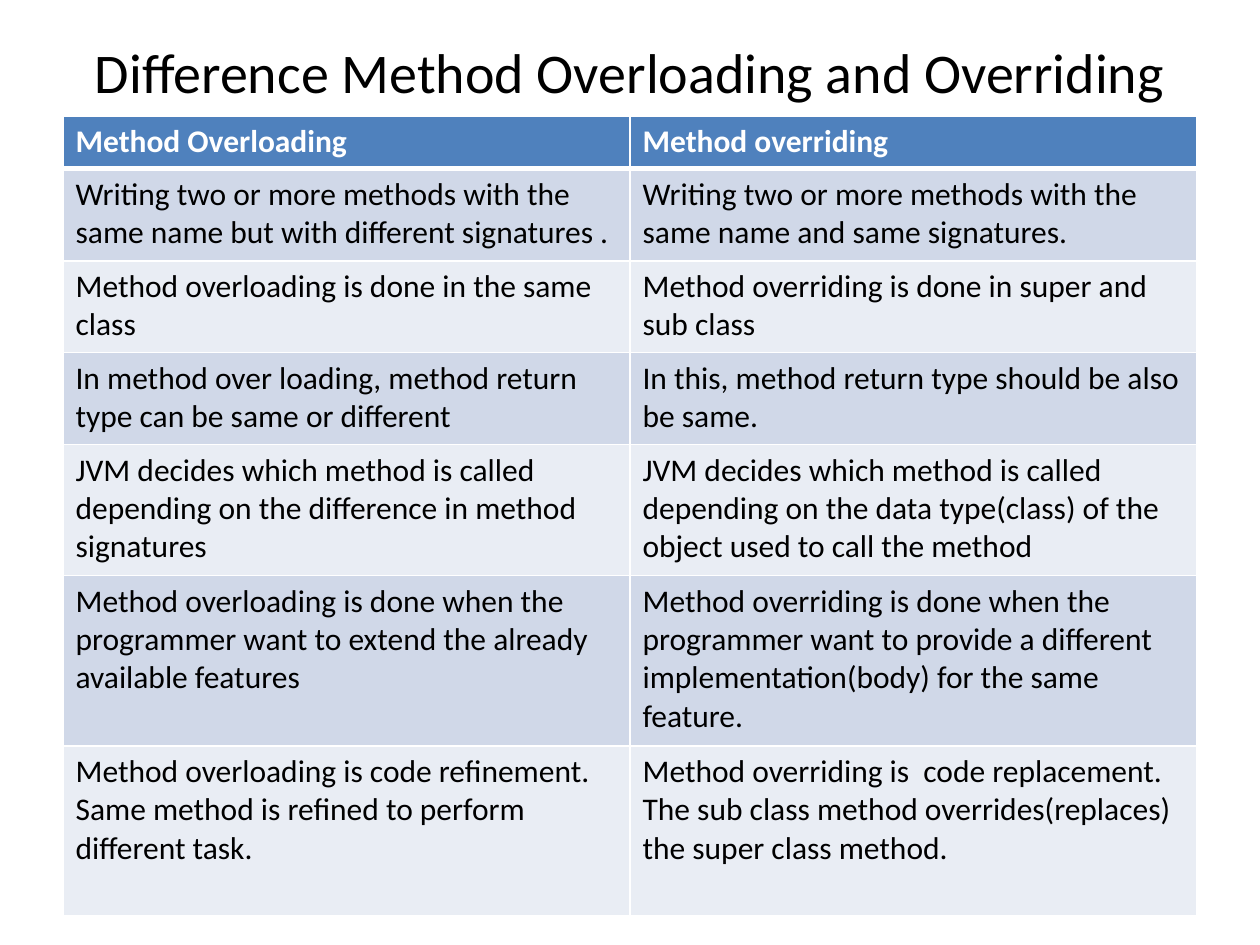
from lxml import etree
from pptx import Presentation
from pptx import util as u
from pptx.dml.color import RGBColor
from pptx.enum import text
from pptx.oxml import ns

COLORS = {"text": "000000", "white": "FFFFFF", "header": "4F81BD",
          "odd": "D0D8E8", "even": "E9EDF4"}

COMPARISON = [
    ("Method Overloading", "Method overriding"),
    ("Writing two or more methods with the same name but with different signatures .",
     "Writing two or more methods with the same name and same signatures."),
    ("Method overloading is done in the same class",
     "Method overriding is done in super and sub class"),
    ("In method over loading, method return type can be same or different",
     "In this, method return type should be also be same."),
    ("JVM decides which method is called depending on the difference in method signatures",
     "JVM decides which method is called depending on the data type(class) "
     "of the object used to call the method"),
    ("Method overloading is done when the programmer want to extend the already "
     "available features",
     "Method overriding is done when the programmer want to provide a different "
     "implementation(body) for the same feature."),
    ("Method overloading is code refinement. Same method is refined to perform "
     "different task.",
     "Method overriding is  code replacement. The sub class method "
     "overrides(replaces) the super class method."),
]
ROW_HEIGHTS = [0.42, 0.73, 0.73, 0.73, 1.04, 1.35, 1.35]


class SlideBuilder:
    font_name = "Calibri"
    title_size = 32
    cell_size = 18

    def __init__(self, presentation):
        self.slide = presentation.slides.add_slide(presentation.slide_layouts[5])

    def style(self, paragraph, size, color, bold=False):
        font = paragraph.font
        font.name, font.size, font.bold = self.font_name, u.Pt(size), bold
        font.color.rgb = RGBColor.from_string(COLORS[color])

    def title(self, wording, left, top, width, height):
        shape = self.slide.shapes.title
        shape.left, shape.top = u.Inches(left), u.Inches(top)
        shape.width, shape.height = u.Inches(width), u.Inches(height)
        frame = shape.text_frame
        frame.text = wording
        frame.auto_size = text.MSO_AUTO_SIZE.NONE
        frame.vertical_anchor = text.MSO_ANCHOR.MIDDLE
        paragraph = frame.paragraphs[0]
        paragraph.alignment = text.PP_ALIGN.CENTER
        self.style(paragraph, self.title_size, "text")

    def borders(self, cell, top, bottom):
        properties = cell._tc.get_or_add_tcPr()
        widths = {"a:lnL": 1, "a:lnR": 1, "a:lnT": top, "a:lnB": bottom}
        for position, (tag, width) in enumerate(widths.items()):
            line = etree.Element(ns.qn(tag), w=str(u.Pt(width)))
            fill = etree.SubElement(line, ns.qn("a:solidFill"))
            etree.SubElement(fill, ns.qn("a:srgbClr"), val=COLORS["white"])
            properties.insert(position, line)

    def table(self, rows, heights, left, top, width):
        table = self.slide.shapes.add_table(
            len(rows), len(rows[0]), u.Inches(left), u.Inches(top),
            u.Inches(width), u.Inches(sum(heights))).table
        for index, (wordings, height) in enumerate(zip(rows, heights)):
            table.rows[index].height = u.Inches(height)
            header = index == 0
            band = "header" if header else "odd" if index % 2 else "even"
            for column, wording in enumerate(wordings):
                cell = table.cell(index, column)
                cell.text = wording
                cell.fill.solid()
                cell.fill.fore_color.rgb = RGBColor.from_string(COLORS[band])
                self.borders(cell, 3 if index == 1 else 1, 3 if header else 1)
                self.style(cell.text_frame.paragraphs[0], self.cell_size,
                           "white" if header else "text", header)


presentation = Presentation()
presentation.slide_width = u.Inches(10)
presentation.slide_height = u.Inches(7.5)
builder = SlideBuilder(presentation)
builder.title("Difference Method Overloading and Overriding", 0.5, 0.3, 9, 0.53)
builder.table(COMPARISON, ROW_HEIGHTS, 0.5, 0.92, 9)
presentation.save("out.pptx")
